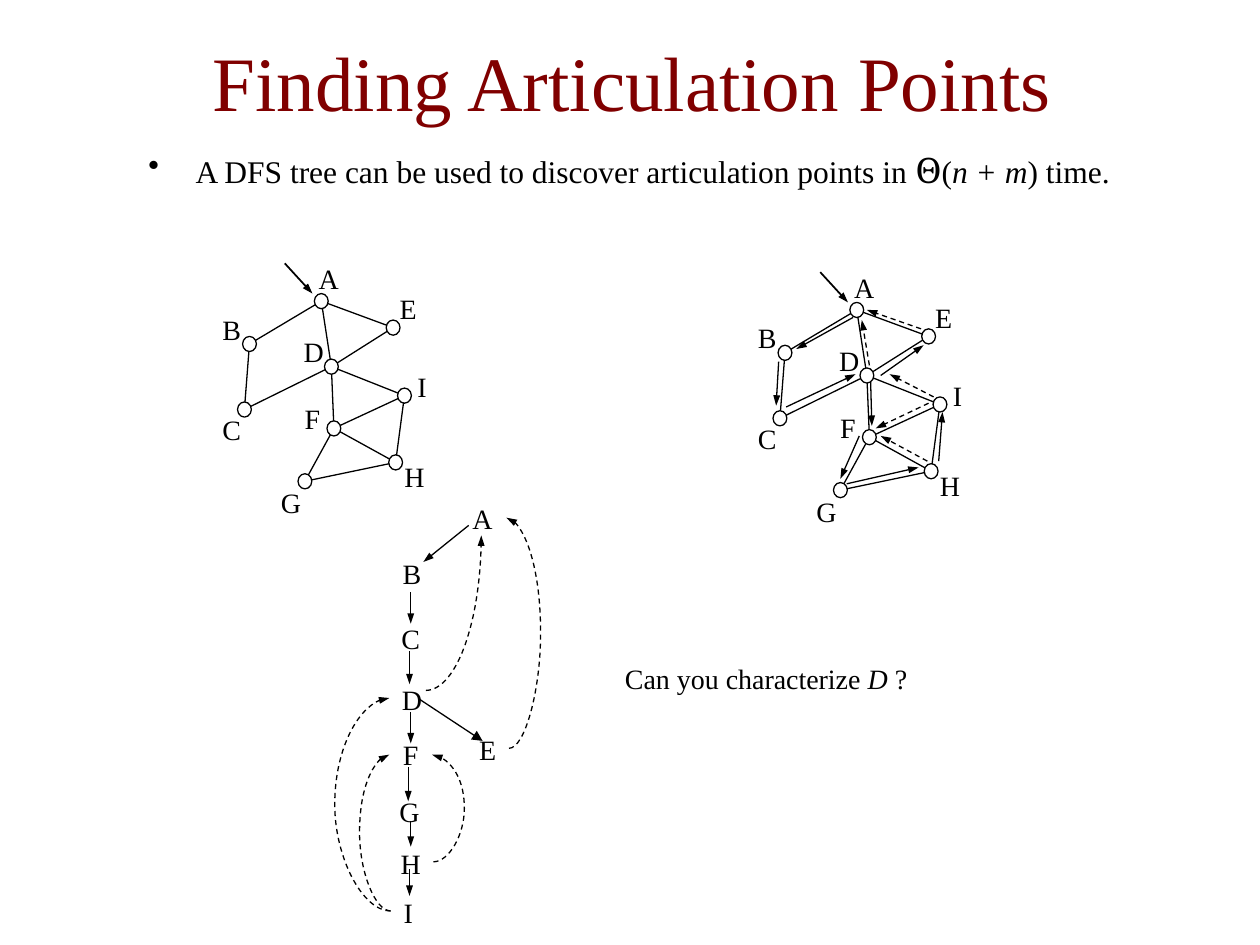
import math

import lxml.etree
import pptx
import pptx.dml.color
import pptx.enum.dml
import pptx.enum.shapes
import pptx.enum.text
import pptx.oxml.ns
import pptx.util

BLACK = pptx.dml.color.RGBColor(0x00, 0x00, 0x00)
WHITE = pptx.dml.color.RGBColor(0xFF, 0xFF, 0xFF)
MAROON = pptx.dml.color.RGBColor(0x80, 0x00, 0x00)
FONT = "Times New Roman"
GRID_CM = 2.54  # all coordinates below count in this unit
NODE_W, NODE_H = 0.11, 0.12
LABEL_W, LABEL_H = 0.36, 0.37

# Centre of each node, and centre of its label
NODES = {
    "A": (2.55, 2.39), "B": (1.98, 2.73), "C": (1.94, 3.25),
    "D": (2.63, 2.91), "E": (3.12, 2.6), "F": (2.65, 3.4),
    "G": (2.42, 3.82), "H": (3.14, 3.67), "I": (3.21, 3.14),
}
NODE_LABELS = {
    "A": (2.61, 2.21), "B": (1.84, 2.61), "C": (1.84, 3.41),
    "D": (2.49, 2.79), "E": (3.24, 2.45), "F": (2.48, 3.32),
    "G": (2.31, 3.99), "H": (3.29, 3.78), "I": (3.35, 3.07),
}
EDGES = "AB BC AD DF FG FH GH AE CD DE HI FI DI".split()
DFS_GRAPH_SHIFT = (4.25, 0.07)

# Arrows beside the edges of the right-hand graph: x0, y0, x1, y1
DFS_TREE_ARROWS = [
    (6.99, 2.98, 7.33, 2.74), (6.77, 2.52, 6.32, 2.77),
    (6.18, 2.87, 6.16, 3.22), (6.24, 3.23, 6.79, 2.97),
    (6.91, 3.03, 6.92, 3.38), (7.45, 3.66, 7.48, 3.27),
    (6.72, 3.84, 7.29, 3.71), (6.82, 3.46, 6.67, 3.8),
]
DFS_BACK_ARROWS = [
    (7.31, 2.61, 6.88, 2.46), (6.9, 2.9, 6.84, 2.54),
    (7.41, 3.15, 7.06, 2.97), (7.37, 3.2, 6.95, 3.4),
    (7.36, 3.66, 6.99, 3.46),
]

TREE_LABELS = {
    "A": (3.83, 4.11), "B": (3.27, 4.55), "C": (3.26, 5.07),
    "D": (3.27, 5.55), "E": (3.87, 5.95), "F": (3.26, 5.99),
    "G": (3.25, 6.44), "H": (3.26, 6.85), "I": (3.24, 7.24),
}
TREE_ARROWS = [
    (3.72, 4.17, 3.36, 4.46), (3.26, 4.7, 3.26, 4.95),
    (3.25, 5.17, 3.25, 5.43), (3.26, 5.65, 3.26, 5.9),
    (3.24, 6.09, 3.24, 6.36), (3.26, 6.52, 3.26, 6.72),
    (3.25, 6.9, 3.25, 7.11),
]
# Back edges, each with the x that its curve bulges out to
TREE_BACK_EDGES = [
    ((4.04, 5.94, 4.02, 4.11), 4.29), ((3.44, 6.84, 3.43, 5.99), 3.69),
    ((3.1, 7.23, 3.09, 5.99), 2.85), ((3.1, 7.23, 3.09, 5.54), 2.65),
]


def grid(*values):
    return [pptx.util.Cm(value * GRID_CM) for value in values]


def add_xml(parent, tag, **attributes):
    return lxml.etree.SubElement(parent, pptx.oxml.ns.qn(tag), attributes)


def style_line(shape, width=0.75, dashed=False, head=None):
    """Draw a black line; head is the width of an arrowhead at its end."""
    shape.line.color.rgb = BLACK
    shape.line.width = pptx.util.Pt(width)
    if dashed:
        shape.line.dash_style = pptx.enum.dml.MSO_LINE.DASH
    if head:
        line = shape.element.spPr.find(pptx.oxml.ns.qn("a:ln"))
        add_xml(line, "a:tailEnd", type="triangle", w=head, len="med")


def add_line(shapes, ends, curved=False, **style):
    kinds = pptx.enum.shapes.MSO_CONNECTOR
    line = shapes.add_connector(kinds.CURVE if curved else kinds.STRAIGHT, *grid(*ends))
    style_line(line, **style)
    add_xml(line.element.spPr, "a:effectLst")
    return line


def add_curve(shapes, ends, bulge_x):
    curve = add_line(shapes, ends, curved=True, dashed=True, head="sm")
    start, end = ends[0], ends[2]
    bend = round((bulge_x - start) / (end - start) * 100000)
    guides = curve.element.spPr.prstGeom.get_or_add_avLst()
    add_xml(guides, "a:gd", name="adj1", fmla=f"val {bend}")


def add_quarter_arc(shapes, centre, radii, steps=24):
    """Run a dashed arrow from below the centre round to its right."""
    angles = [math.pi / 2 * step / steps for step in range(steps + 1)]
    points = [grid(centre[0] + radii[0] * math.sin(angle),
                   centre[1] + radii[1] * math.cos(angle)) for angle in angles]
    builder = shapes.build_freeform(*points[0])
    builder.add_line_segments(points[1:], close=False)
    arc = builder.convert_to_shape()
    arc.shadow.inherit = False
    arc.fill.background()
    style_line(arc, dashed=True, head="sm")


def add_node(shapes, x, y):
    node = shapes.add_shape(
        pptx.enum.shapes.MSO_SHAPE.OVAL,
        *grid(x - NODE_W / 2, y - NODE_H / 2, NODE_W, NODE_H))
    node.shadow.inherit = False
    node.fill.solid()
    node.fill.fore_color.rgb = WHITE
    style_line(node)


def format_span(span, size, colour=BLACK, name=FONT, italic=False):
    span.font.size = pptx.util.Pt(size)
    span.font.color.rgb = colour
    span.font.name = name
    span.font.italic = italic


def add_spans(para, spans):
    """Add (text, size, other formatting) spans."""
    for text, size, formatting in spans:
        span = para.add_run()
        span.text = text
        format_span(span, size, **formatting)


def add_label(shapes, spans, x, y, width=LABEL_W):
    box = shapes.add_textbox(*grid(x - width / 2, y - LABEL_H / 2, width, LABEL_H))
    frame = box.text_frame
    frame.word_wrap = False
    frame.auto_size = pptx.enum.text.MSO_AUTO_SIZE.SHAPE_TO_FIT_TEXT
    frame.vertical_anchor = pptx.enum.text.MSO_ANCHOR.MIDDLE
    para = frame.paragraphs[0]
    para.alignment = pptx.enum.text.PP_ALIGN.CENTER
    add_spans(para, spans)


def add_letters(shapes, places, shift=(0, 0)):
    for letter, (x, y) in places.items():
        add_label(shapes, [(letter, 16, {})], x + shift[0], y + shift[1])


def add_arrows(shapes, arrows, dashed=False):
    for ends in arrows:
        add_line(shapes, ends, dashed=dashed, head="sm")


def add_graph(page, shift=(0, 0)):
    shapes = page.shapes.add_group_shape().shapes
    dx, dy = shift
    centres = {name: (x + dx, y + dy) for name, (x, y) in NODES.items()}
    for start, end in EDGES:
        add_line(shapes, centres[start] + centres[end])
    for centre in centres.values():
        add_node(shapes, *centre)
    add_line(shapes, (2.26 + dx, 2.09 + dy, 2.48 + dx, 2.33 + dy), width=1, head="sm")
    add_letters(shapes, NODE_LABELS, shift)
    return shapes


def add_dfs_tree(page):
    shapes = page.shapes.add_group_shape().shapes
    add_letters(shapes, TREE_LABELS)
    add_arrows(shapes, TREE_ARROWS)
    add_quarter_arc(shapes, (3.38, 4.25), (0.44, 1.23))
    for ends, bulge_x in TREE_BACK_EDGES:
        add_curve(shapes, ends, bulge_x)
    add_line(shapes, (3.33, 5.55, 3.83, 5.88), head="med")


def add_title(page, text):
    box = page.shapes.add_textbox(*grid(0.27, 0.21, 9.5, 0.83))
    box.fill.solid()
    box.fill.fore_color.rgb = WHITE
    frame = box.text_frame
    frame.word_wrap = True
    frame.vertical_anchor = pptx.enum.text.MSO_ANCHOR.BOTTOM
    frame.margin_bottom = pptx.util.Cm(0.08)
    frame.text = text
    para = frame.paragraphs[0]
    para.alignment = pptx.enum.text.PP_ALIGN.CENTER
    format_span(para.runs[0], 44, MAROON)


def add_bullet(page, spans):
    box = page.shapes.add_textbox(*grid(1.08, 1.13, 8.25, 4.95))
    box.text_frame.word_wrap = True
    para = box.text_frame.paragraphs[0]
    indent = pptx.util.Cm(0.95)
    properties = para._p.get_or_add_pPr()
    properties.set("marL", str(indent))
    properties.set("indent", str(-indent))
    add_xml(properties, "a:buChar", char="•")
    add_spans(para, spans)


def main():
    deck = pptx.Presentation()
    deck.slide_width, deck.slide_height = grid(10, 7.5)
    page = deck.slides.add_slide(deck.slide_layouts[6])
    add_title(page, "Finding Articulation Points")
    dfs_graph = add_graph(page, DFS_GRAPH_SHIFT)
    add_arrows(dfs_graph, DFS_TREE_ARROWS)
    add_arrows(dfs_graph, DFS_BACK_ARROWS, dashed=True)
    add_label(page.shapes, [("Can you characterize ", 16, {}),
                            ("D", 16, {"italic": True}), (" ?", 16, {})], 6.08, 5.38, 2.45)
    add_graph(page)
    add_dfs_tree(page)
    add_bullet(page, [
        ("A DFS tree can be used to discover articulation points in ", 18, {}),
        ("Θ", 20, {"name": "Cambria"}), ("(", 18, {}),
        ("n + m", 18, {"italic": True}), (") time.", 18, {})])
    deck.save("out.pptx")


if __name__ == "__main__":
    main()
